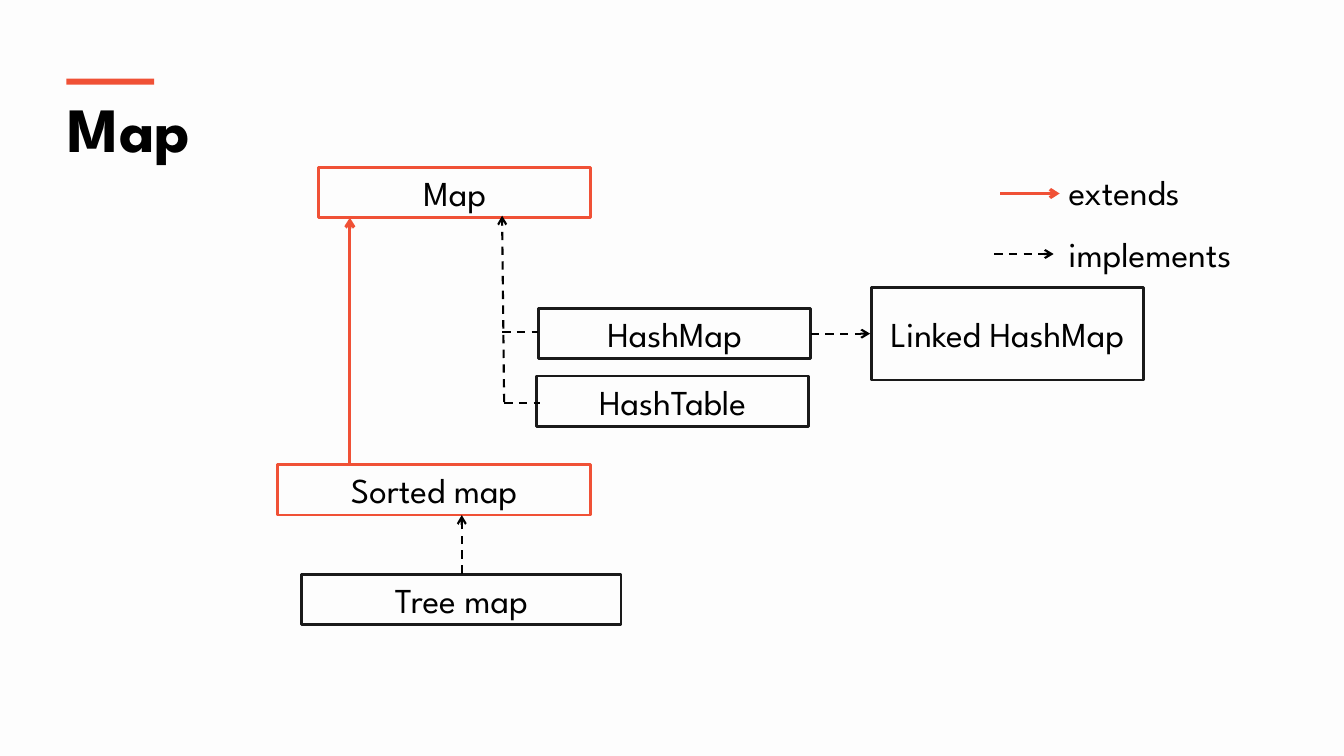
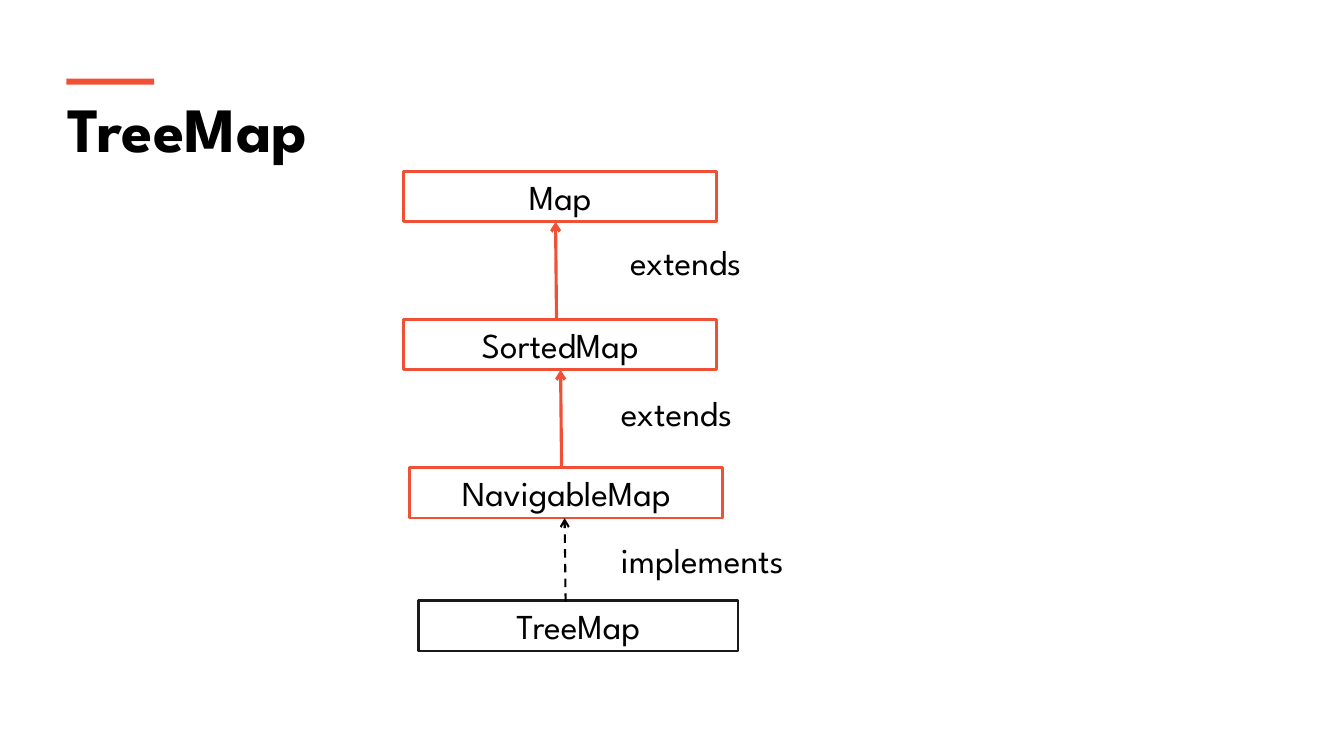
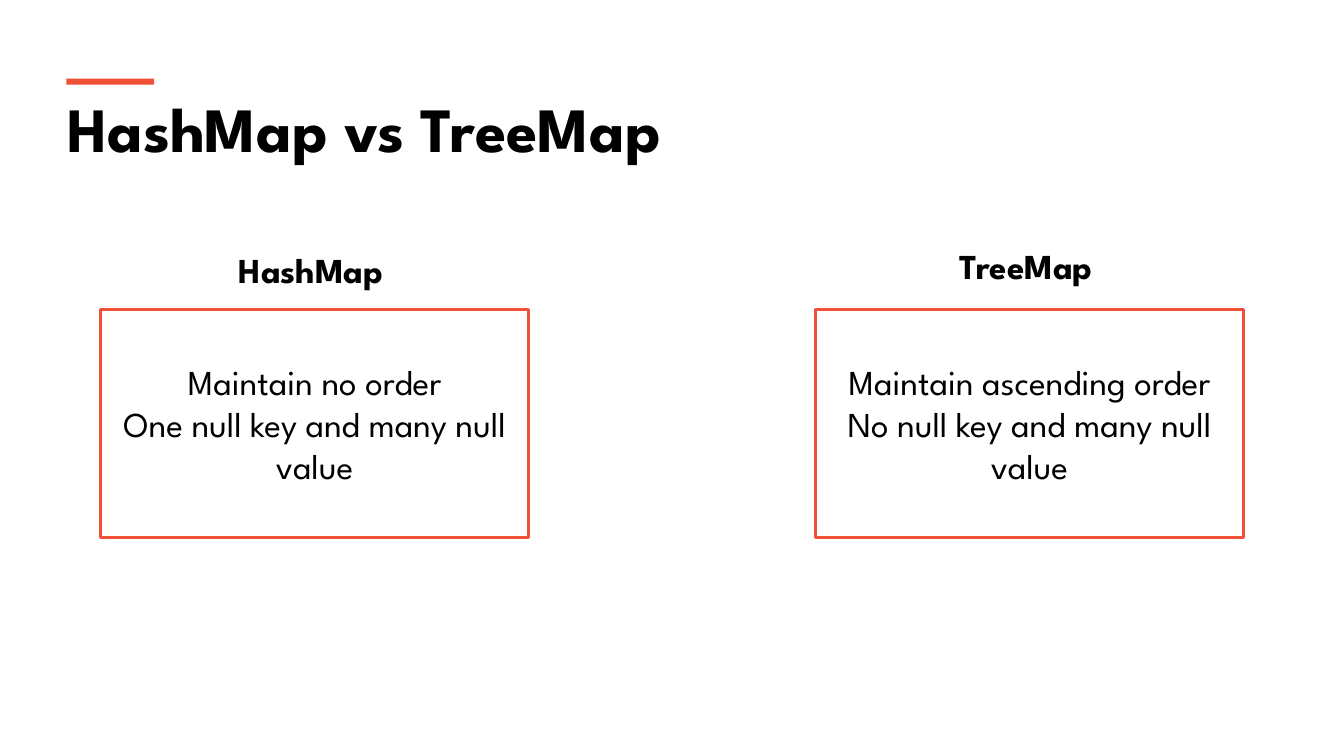
import lxml.etree
import pptx
import pptx.dml.color
import pptx.enum.dml
import pptx.enum.shapes
import pptx.enum.text
import pptx.oxml.ns
import pptx.util

Inches = pptx.util.Inches
Pt = pptx.util.Pt
RGBColor = pptx.dml.color.RGBColor
PP_ALIGN = pptx.enum.text.PP_ALIGN
MSO_ANCHOR = pptx.enum.text.MSO_ANCHOR
RECTANGLE = pptx.enum.shapes.MSO_SHAPE.RECTANGLE
STRAIGHT = pptx.enum.shapes.MSO_CONNECTOR.STRAIGHT
qn = pptx.oxml.ns.qn

ORANGE = RGBColor(0xF0, 0x51, 0x36)
DARK = RGBColor(0x1A, 0x1A, 0x1A)
BLACK = RGBColor(0x00, 0x00, 0x00)
WHITE = RGBColor(0xFF, 0xFF, 0xFF)
OFF_WHITE = RGBColor(0xFD, 0xFD, 0xFD)

BODY = {"name": "League Spartan", "size": Pt(25), "bold": False}
HEADING = {**BODY, "bold": True}
TITLE = {**HEADING, "size": Pt(45)}

EXTENDS = {"color": ORANGE, "width": Pt(2.25), "dash": None, "arrow": True}
IMPLEMENTS = {"color": BLACK, "width": Pt(1.5),
              "dash": pptx.enum.dml.MSO_LINE.DASH, "arrow": True}
BRANCH = {**IMPLEMENTS, "arrow": False}

SLIDES = [
    {
        "title": "Map",
        "background": OFF_WHITE,
        "filled": False,
        "boxes": [
            ("Map", 3.16, 1.66, 2.7, 0.5, ORANGE),
            ("Tree map", 2.99, 5.7, 3.17, 0.5, DARK),
            ("Sorted map", 2.75, 4.61, 3.11, 0.5, ORANGE),
            ("HashMap", 5.34, 3.06, 2.7, 0.5, DARK),
            ("HashTable", 5.32, 3.73, 2.7, 0.5, DARK),
            ("Linked HashMap", 8.64, 2.85, 2.7, 0.92, DARK),
        ],
        "lines": [
            (3.47, 4.61, 3.47, 2.16, EXTENDS),
            (4.58, 5.69, 4.58, 5.11, IMPLEMENTS),
            (5, 3.99, 4.98, 2.14, IMPLEMENTS),
            (4.98, 3.29, 5.34, 3.29, BRANCH),
            (5, 4, 5.36, 4, BRANCH),
            (8.04, 3.31, 8.63, 3.31, IMPLEMENTS),
            (9.92, 1.92, 10.51, 1.92, EXTENDS),
            (9.86, 2.52, 10.45, 2.52, IMPLEMENTS),
        ],
        "labels": [
            ("extends", 10.5, 1.64, 1.44, BODY),
            ("implements", 10.5, 2.26, 2.02, BODY),
        ],
    },
    {
        "title": "TreeMap",
        "background": WHITE,
        "filled": False,
        "boxes": [
            ("Map", 4, 1.7, 3.11, 0.5, ORANGE),
            ("SortedMap", 4, 3.17, 3.11, 0.5, ORANGE),
            ("NavigableMap", 4.06, 4.64, 3.11, 0.5, ORANGE),
            ("TreeMap", 4.15, 5.96, 3.17, 0.5, DARK),
        ],
        "lines": [
            (5.52, 3.17, 5.51, 2.2, EXTENDS),
            (5.57, 4.63, 5.56, 3.67, EXTENDS),
            (5.61, 5.97, 5.6, 5.14, IMPLEMENTS),
        ],
        "labels": [
            ("extends", 6.15, 2.34, 1.92, BODY),
            ("extends", 6.06, 3.83, 1.92, BODY),
            ("implements", 6.06, 5.29, 2.21, BODY),
        ],
    },
    {
        "title": "HashMap vs TreeMap",
        "background": WHITE,
        "filled": True,
        "boxes": [
            ("Maintain no order\nOne null key and many null value",
             1, 3.07, 4.24, 2.26, ORANGE),
            ("Maintain ascending order\nNo null key and many null value",
             8.09, 3.07, 4.24, 2.26, ORANGE),
        ],
        "lines": [],
        "labels": [
            ("HashMap", 2.27, 2.42, 1.73, HEADING),
            ("TreeMap", 9.42, 2.38, 1.62, HEADING),
        ],
    },
]


def write(sp, text, fmt, align, anchor):
    tf = sp.text_frame
    tf.word_wrap = True
    tf.vertical_anchor = anchor
    tf.text = text
    for p in tf.paragraphs:
        p.alignment = align
        for r in p.runs:
            for key, value in fmt.items():
                setattr(r.font, key, value)
            r.font.color.rgb = BLACK


prs = pptx.Presentation()
prs.slide_width = Inches(13.33)
prs.slide_height = Inches(7.5)

for content in SLIDES:
    slide = prs.slides.add_slide(prs.slide_layouts[6])
    slide.background.fill.solid()
    slide.background.fill.fore_color.rgb = content["background"]

    bar = slide.shapes.add_shape(
        RECTANGLE, Inches(0.66), Inches(0.78), Inches(0.87), Inches(0.06))
    bar.shadow.inherit = False
    bar.fill.solid()
    bar.fill.fore_color.rgb = ORANGE
    bar.line.fill.background()

    for text, x, y, w, h, color in content["boxes"]:
        sp = slide.shapes.add_shape(
            RECTANGLE, Inches(x), Inches(y), Inches(w), Inches(h))
        sp.shadow.inherit = False
        if content["filled"]:
            sp.fill.solid()
            sp.fill.fore_color.rgb = WHITE
        else:
            sp.fill.background()
        sp.line.color.rgb = color
        sp.line.width = Pt(2)
        lxml.etree.SubElement(sp.line._get_or_add_ln(), qn("a:round"))
        write(sp, text, BODY, PP_ALIGN.CENTER, MSO_ANCHOR.MIDDLE)

    for x1, y1, x2, y2, style in content["lines"]:
        line = slide.shapes.add_connector(
            STRAIGHT, Inches(x1), Inches(y1), Inches(x2), Inches(y2))
        line.line.color.rgb = style["color"]
        line.line.width = style["width"]
        line.line.dash_style = style["dash"]
        if style["arrow"]:
            ln = line.line._get_or_add_ln()
            lxml.etree.SubElement(ln, qn("a:tailEnd"), type="arrow")
        lxml.etree.SubElement(line._element.spPr, qn("a:effectLst"))

    title = (content["title"], 0.57, 0.84, 12.18, TITLE)
    for text, x, y, w, fmt in [title] + content["labels"]:
        h = 0.86 if fmt is TITLE else 0.52
        sp = slide.shapes.add_textbox(
            Inches(x), Inches(y), Inches(w), Inches(h))
        write(sp, text, fmt, PP_ALIGN.LEFT, MSO_ANCHOR.TOP)

prs.save("out.pptx")
